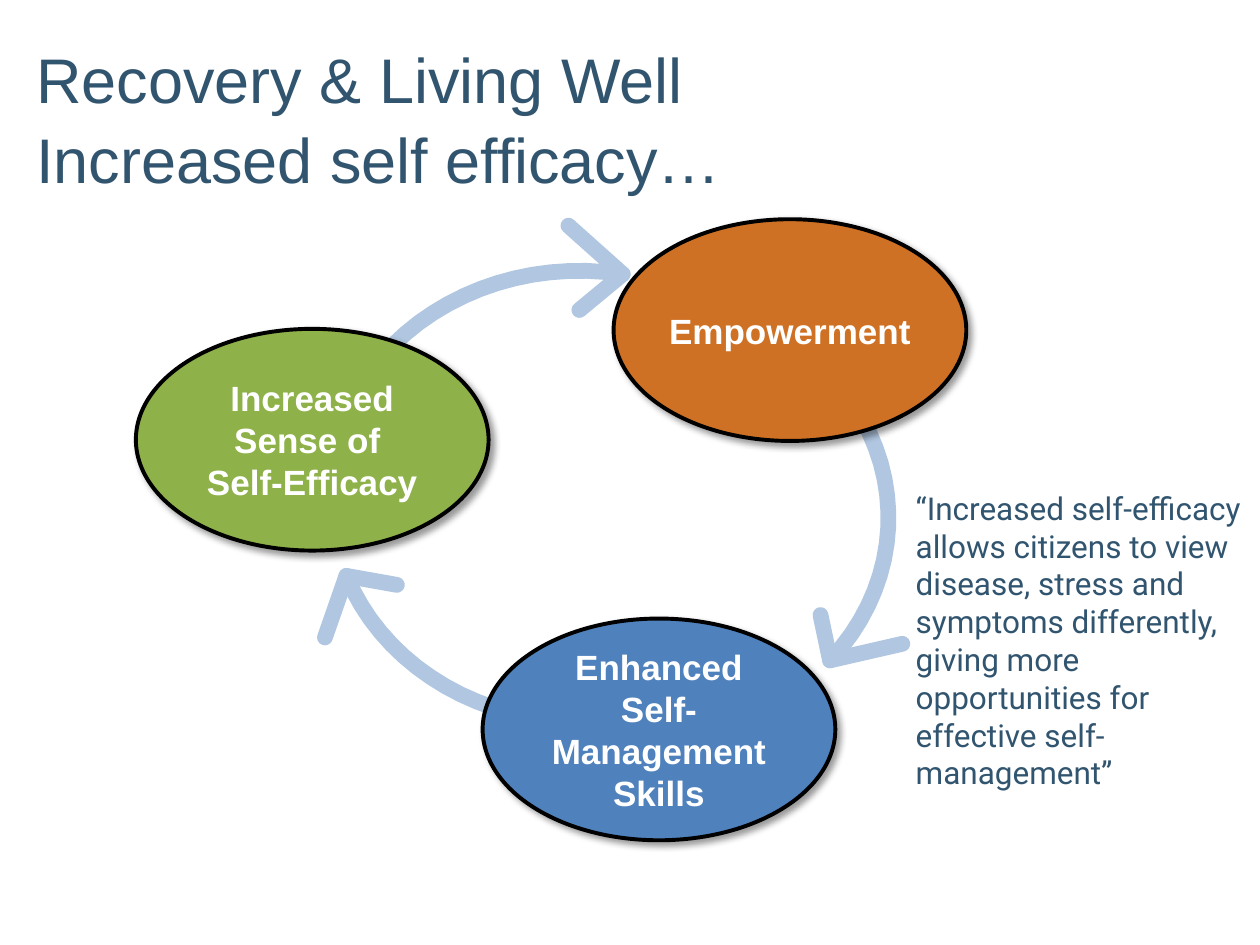
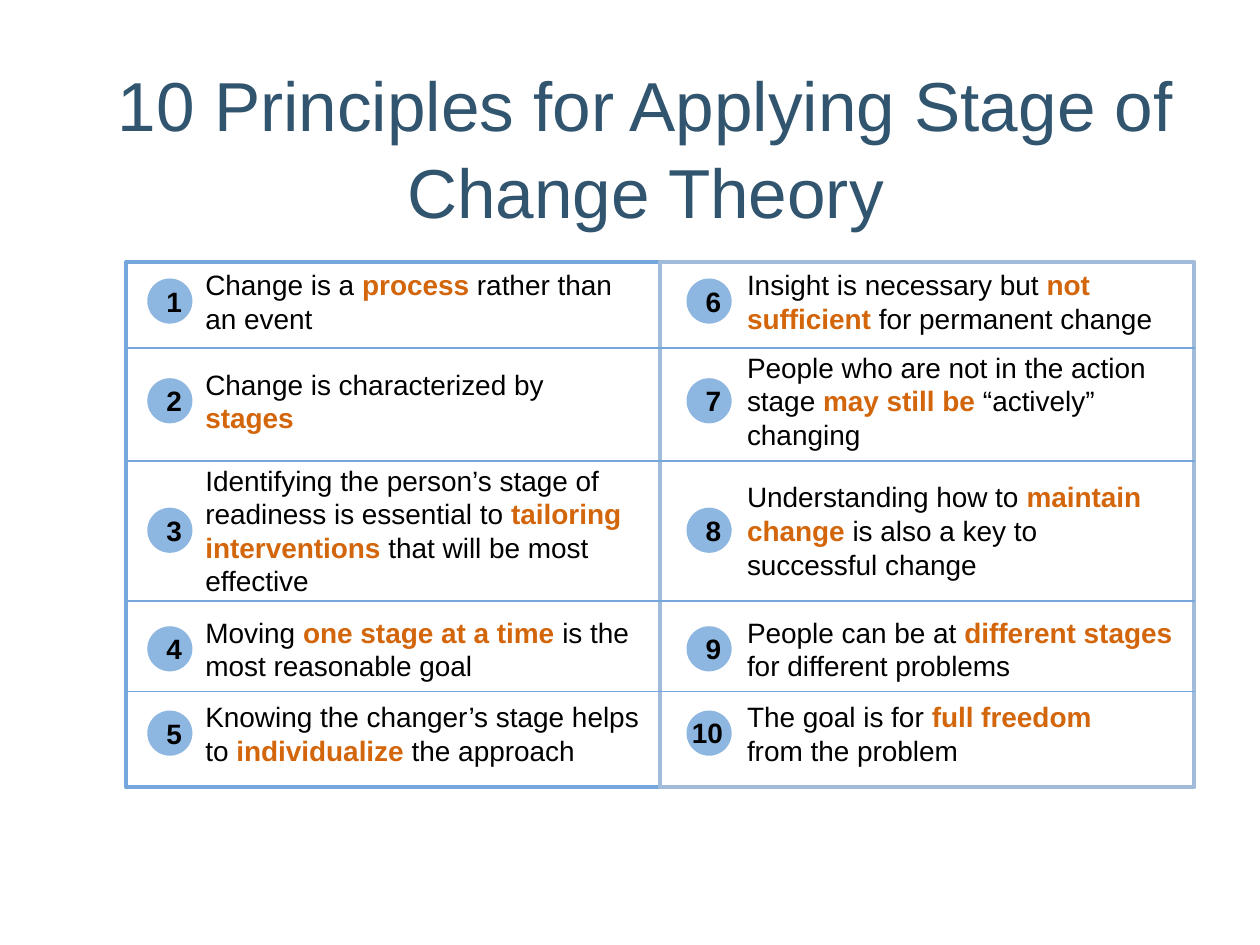
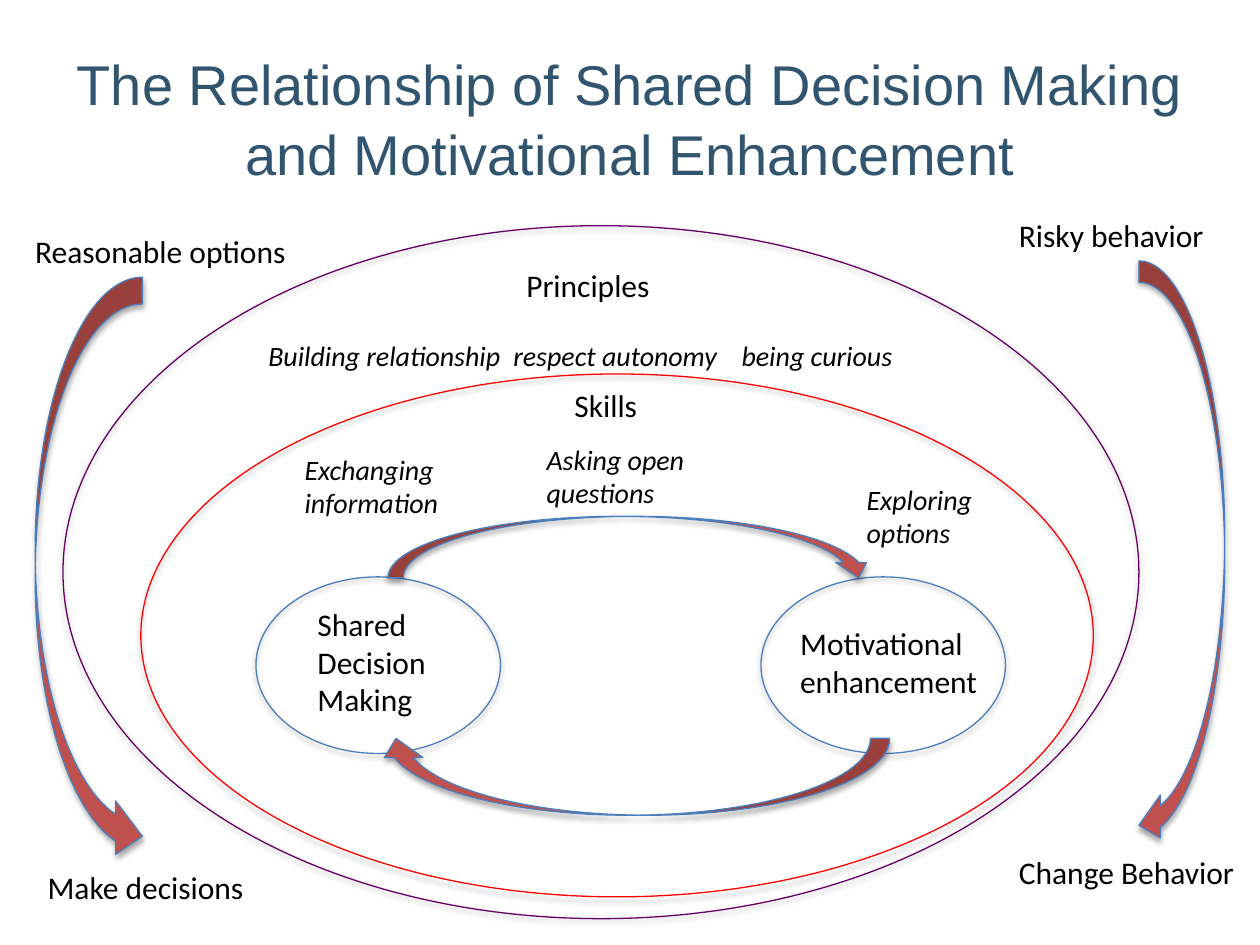
from math import cos, radians, sin

from lxml import etree
from pptx import Presentation
from pptx.dml.color import RGBColor
from pptx.enum.shapes import MSO_CONNECTOR, MSO_SHAPE
from pptx.enum.text import MSO_ANCHOR, PP_ALIGN
from pptx.oxml.ns import qn
from pptx.util import Cm, Pt

LINE = MSO_CONNECTOR.STRAIGHT
OVAL = MSO_SHAPE.OVAL
RECT = MSO_SHAPE.RECTANGLE
DOWN_ARROW = MSO_SHAPE.CURVED_DOWN_ARROW
LEFT_ARROW = MSO_SHAPE.CURVED_LEFT_ARROW
RIGHT_ARROW = MSO_SHAPE.CURVED_RIGHT_ARROW
TOP, MIDDLE = MSO_ANCHOR.TOP, MSO_ANCHOR.MIDDLE
LEFT, CENTER = PP_ALIGN.LEFT, PP_ALIGN.CENTER

COLORS = {
    "title": "31546F", "text": "000000", "white": "FFFFFF",
    "cycle_arrow": "B1C7E1", "orange": "CE7124", "blue": "4F81BD", "green": "8EB149",
    "rule": "75A7DD", "right_frame": "A1BBDB", "badge": "8DB7E1", "emphasis": "D3650B",
    "outline": "4B7EBC", "red": "FF0000", "purple": "660066", "arrow": "C0504D",
}
HEAVY_SHADOW = (40, 4, 3, 45)
SOFT_SHADOW = (35, 3.1, 1.8, 90)

CYCLE_RX, CYCLE_RY = 5.03, 4.47
CYCLE_ARROWS = [
    ((11.71, 10.08), (61, 160), [(8.0, 11.79), (6.55, 12.85)]),
    ((11.68, 9.93), (180, 280), [(11.46, 4.55), (11.68, 6.25)]),
    ((12.88, 10.44), (-60, 40), [(16.54, 12.4), (18.19, 12.98)]),
]
CYCLE_STEPS = [
    (12.37, 4.42, "orange", "Empowerment"),
    (9.73, 12.47, "blue", "Enhanced Self-Management Skills"),
    (2.74, 6.63, "green", "Increased Sense of \nSelf-Efficacy"),
]

ROW_CENTERS = [6.07, 8.08, 10.69, 13.08, 14.78]
ROW_RULES = [7.01, 9.3, 12.12, 13.94]
FRAME_LEFT, FRAME_WIDTH = 2.54, 10.77
BADGE = 0.91
PRINCIPLES = [
    (2.97, 3.89, [
        (9.47, 2, ("Change is a ", "process", " rather than an event")),
        (9.02, 2, ("Change is characterized by ", "stages")),
        (9.42, 4, ("Identifying the person’s stage of readiness is essential to ",
                   "tailoring interventions", " that will be most effective")),
        (9.47, 2, ("Moving ", "one stage at a time ", "is the most reasonable goal")),
        (9.47, 2, ("Knowing the changer’s stage helps to ", "individualize",
                   " the approach")),
    ]),
    (13.84, 14.81, [
        (9.3, 2, ("Insight is necessary but ", "not sufficient ", "for permanent change")),
        (9.3, 3, ("People who are not in the action stage ", "may still be ",
                  "“actively” changing")),
        (8.92, 3, ("Understanding how to ", "maintain change",
                   " is also a key to successful change")),
        (9.45, 2, ("People can be at ", "different stages ", "for different problems")),
        (8.28, 2, ("The goal is for ", "full freedom ", "from the problem")),
    ]),
]

RELATION_OVALS = [
    ((5.16, 11.63, 4.93, 3.56), "outline"),
    ((15.34, 11.63, 4.93, 3.56), "outline"),
    ((2.84, 7.54, 19.2, 10.54), "red"),
    ((1.27, 4.55, 21.69, 13.97), "purple"),
]
RELATION_ARROWS = [
    (DOWN_ARROW, (7.82, 10.41, 9.8, 1.24), 0),
    (LEFT_ARROW, (11.99, 10.49, 1.55, 10.34), 90),
    (LEFT_ARROW, (22.96, 5.26, 1.73, 11.81), 0),
    (RIGHT_ARROW, (0.71, 5.59, 2.16, 11.81), 0),
]
RELATION_LABELS = [
    ((6.15, 12.07, 3.18, 2.57), "Shared Decision Making"),
    ((15.88, 12.45, 4.11, 1.8), "Motivational enhancement"),
    ((11.33, 7.65, 1.93, 1.02), "Skills"),
    ((10.36, 5.23, 4.98, 1.02), "Principles"),
    ((20.29, 4.24, 4.88, 1.02), "Risky behavior"),
    ((0.46, 4.55, 5.69, 1.02), "Reasonable options"),
    ((20.29, 17.07, 4.88, 1.02), "Change Behavior"),
    ((0.71, 17.37, 4.88, 1.02), "Make decisions"),
]
RELATION_SKILLS = [
    ((5.89, 8.99, 3.43, 1.63), "Exchanging information"),
    ((17.22, 9.6, 3.43, 1.63), "Exploring options"),
    ((10.77, 8.79, 4.01, 1.63), "Asking open questions"),
]


def rgb(name):
    """Return the named colour."""
    return RGBColor.from_string(COLORS[name])


def add_text(p, text, size, color="text", font="Arial", bold=False, italic=False):
    """Add runs to a paragraph, breaking the line at each newline."""
    for i, line in enumerate(text.split("\n")):
        if i:
            p.add_line_break()
        r = p.add_run()
        r.text = line
        r.font.name, r.font.size = font, Pt(size)
        r.font.bold, r.font.italic = bold, italic
        r.font.color.rgb = rgb(color)


def add_box(s, box, anchor=TOP, align=LEFT, wrap=True):
    """Add a text box and return its first paragraph."""
    tf = s.shapes.add_textbox(*map(Cm, box)).text_frame
    tf.word_wrap = wrap
    tf.vertical_anchor = anchor
    p = tf.paragraphs[0]
    p.alignment = align
    return p


def add_title(s, box, text, size, align=CENTER):
    """Add the slide title."""
    p = add_box(s, box, MIDDLE, align)
    p.line_spacing = 1.05
    add_text(p, text, size, "title")


def add_shadow(sp, alpha, blur, distance, angle):
    """Give a shape an outer black shadow."""
    effects = sp._element.spPr.find(qn("a:effectLst"))
    outer = etree.SubElement(effects, qn("a:outerShdw"), blurRad=str(Pt(blur)),
                             dist=str(Pt(distance)), dir=str(angle * 60000), rotWithShape="0")
    black = etree.SubElement(outer, qn("a:srgbClr"), val="000000")
    etree.SubElement(black, qn("a:alpha"), val=str(alpha * 1000))


def add_shape(s, kind, box, fill=None, line=None, width=0.75, shadow=None):
    """Add a preset shape with its fill, line and shadow."""
    sp = s.shapes.add_shape(kind, *map(Cm, box))
    sp.shadow.inherit = False
    if fill:
        sp.fill.solid()
        sp.fill.fore_color.rgb = rgb(fill)
    else:
        sp.fill.background()
    if line:
        sp.line.color.rgb = rgb(line)
        sp.line.width = Pt(width)
    else:
        sp.line.fill.background()
    if shadow:
        add_shadow(sp, *shadow)
    return sp


def write_centered(sp, text, size, color):
    """Write bold centred text in a shape."""
    tf = sp.text_frame
    tf.word_wrap = True
    tf.vertical_anchor = MIDDLE
    p = tf.paragraphs[0]
    p.alignment = CENTER
    add_text(p, text, size, color, bold=True)


def add_cycle_arrow(s, center, angles, wings):
    """Draw an elliptical arc that ends in an open arrowhead."""
    start, end = angles
    turns = [radians(start + (end - start) * i / 24) for i in range(25)]
    arc = [(Cm(center[0] + CYCLE_RX * cos(t)), Cm(center[1] + CYCLE_RY * sin(t)))
           for t in turns]
    first, last = [(Cm(x), Cm(y)) for x, y in wings]
    fb = s.shapes.build_freeform(*arc[0])
    fb.add_line_segments(arc[1:], close=False)
    fb.move_to(*first)
    fb.add_line_segments([arc[-1], last], close=False)
    sp = fb.convert_to_shape()
    sp.shadow.inherit = False
    sp.fill.background()
    sp.line.color.rgb = rgb("cycle_arrow")
    sp.line.width = Pt(9)
    ln = sp._element.spPr.find(qn("a:ln"))
    ln.set("cap", "rnd")
    etree.SubElement(ln, qn("a:round"))


def add_rule(s, y):
    """Draw a row rule across both frames."""
    right = FRAME_LEFT + 2 * FRAME_WIDTH
    cxn = s.shapes.add_connector(LINE, Cm(FRAME_LEFT), Cm(y), Cm(right), Cm(y))
    cxn.line.color.rgb = rgb("rule")
    cxn.line.width = Pt(1)
    etree.SubElement(cxn._element.spPr, qn("a:effectLst"))


def add_badge(s, left, center, number):
    """Draw a numbered disc, with a wider label for two digits."""
    top = center - BADGE / 2
    sp = add_shape(s, OVAL, (left, top, BADGE, BADGE), "badge")
    if number < 10:
        write_centered(sp, str(number), 16, "text")
    else:
        p = add_box(s, (left - 0.15, top - 0.02, 1.14, 0.94), align=CENTER, wrap=False)
        add_text(p, str(number), 16, bold=True)


def add_principle(s, left, center, width, lines, parts):
    """Write a principle centred on its row, with its second part emphasised."""
    height = 0.25 + 0.69 * lines
    p = add_box(s, (left, center - height / 2, width, height), MIDDLE)
    for i, part in enumerate(parts):
        strong = i == 1
        add_text(p, part, 16, "emphasis" if strong else "text", bold=strong)


def add_tabs(p, stops):
    """Set left tab stops on a paragraph."""
    tabs = etree.SubElement(p._p.get_or_add_pPr(), qn("a:tabLst"))
    for stop in stops:
        etree.SubElement(tabs, qn("a:tab"), pos=str(Cm(stop)), algn="l")


def build_cycle(s):
    """Build the self-efficacy cycle."""
    add_title(s, (0.48, 0.76, 24.28, 3.18),
              "Recovery & Living Well\nIncreased self efficacy…", 36, LEFT)
    for arrow in CYCLE_ARROWS:
        add_cycle_arrow(s, *arrow)
    for left, top, fill, text in CYCLE_STEPS:
        sp = add_shape(s, OVAL, (left, top, 7.11, 4.47), fill, "text", 2.25, HEAVY_SHADOW)
        tf = sp.text_frame
        tf.margin_left = tf.margin_top = tf.margin_right = tf.margin_bottom = 0
        write_centered(sp, text, 20, "white")
    p = add_box(s, (18.21, 9.73, 7.42, 6.4))
    add_text(p, "“Increased self-efficacy allows citizens to view disease, stress and symptoms "
                "differently, giving more opportunities for effective self-management”",
             18, "title", "Roboto")


def build_principles(s):
    """Build the two framed columns of principles."""
    for i, (line, width) in enumerate([("rule", 2), ("right_frame", 2.25)]):
        add_shape(s, RECT, (FRAME_LEFT + i * FRAME_WIDTH, 5.28, FRAME_WIDTH, 10.59),
                  "white", line, width)
    add_title(s, (1.9, 1.12, 22.23, 3.63),
              "10 Principles for Applying Stage of Change Theory", 39.6)
    number = 0
    for badge_left, text_left, items in PRINCIPLES:
        for center, item in zip(ROW_CENTERS, items):
            number += 1
            add_principle(s, text_left, center, *item)
            add_badge(s, badge_left, center, number)
    for y in ROW_RULES:
        add_rule(s, y)


def build_relationship(s):
    """Build the nested ovals with their arrows and labels."""
    add_title(s, (1.27, 0.76, 22.86, 3.18),
              "The Relationship of Shared Decision Making and Motivational Enhancement", 32)
    for box, line in RELATION_OVALS:
        add_shape(s, OVAL, box, line=line, shadow=SOFT_SHADOW)
    for kind, box, rotation in RELATION_ARROWS:
        sp = add_shape(s, kind, box, "arrow", "outline", shadow=SOFT_SHADOW)
        sp.rotation = rotation
    for box, text in RELATION_LABELS:
        add_text(add_box(s, box), text, 18, font="Calibri")
    p = add_box(s, (5.16, 6.71, 13.79, 0.94))
    add_tabs(p, [4.94, 9.54])
    add_text(p, "Building relationship\trespect autonomy\tbeing curious", 16,
             font="Calibri", italic=True)
    for box, text in RELATION_SKILLS:
        add_text(add_box(s, box), text, 16, font="Calibri", italic=True)


def main():
    """Build and save the presentation."""
    prs = Presentation()
    prs.slide_width, prs.slide_height = Cm(25.4), Cm(19.05)
    for build in (build_cycle, build_principles, build_relationship):
        build(prs.slides.add_slide(prs.slide_layouts[6]))
    prs.save("out.pptx")


if __name__ == "__main__":
    main()
